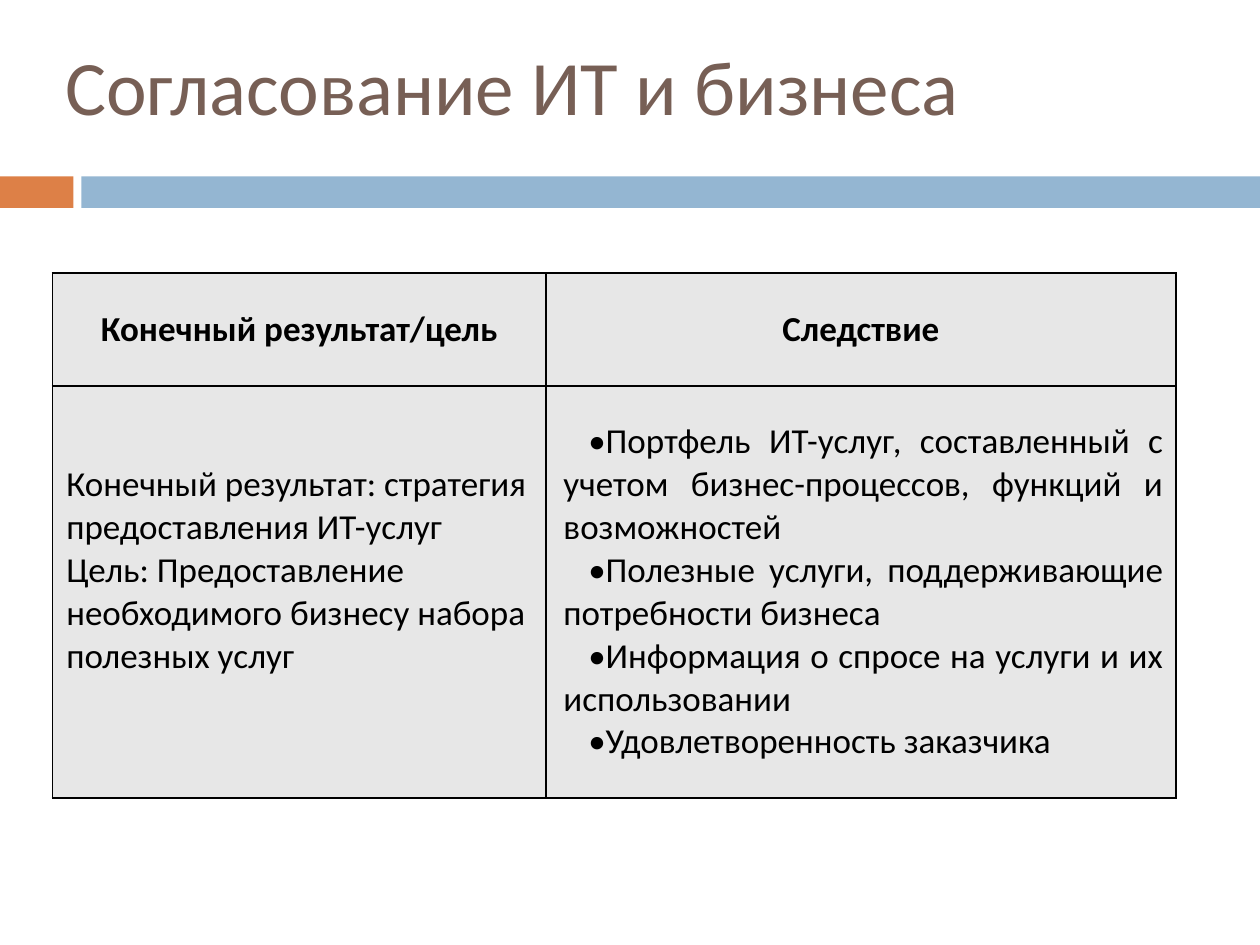
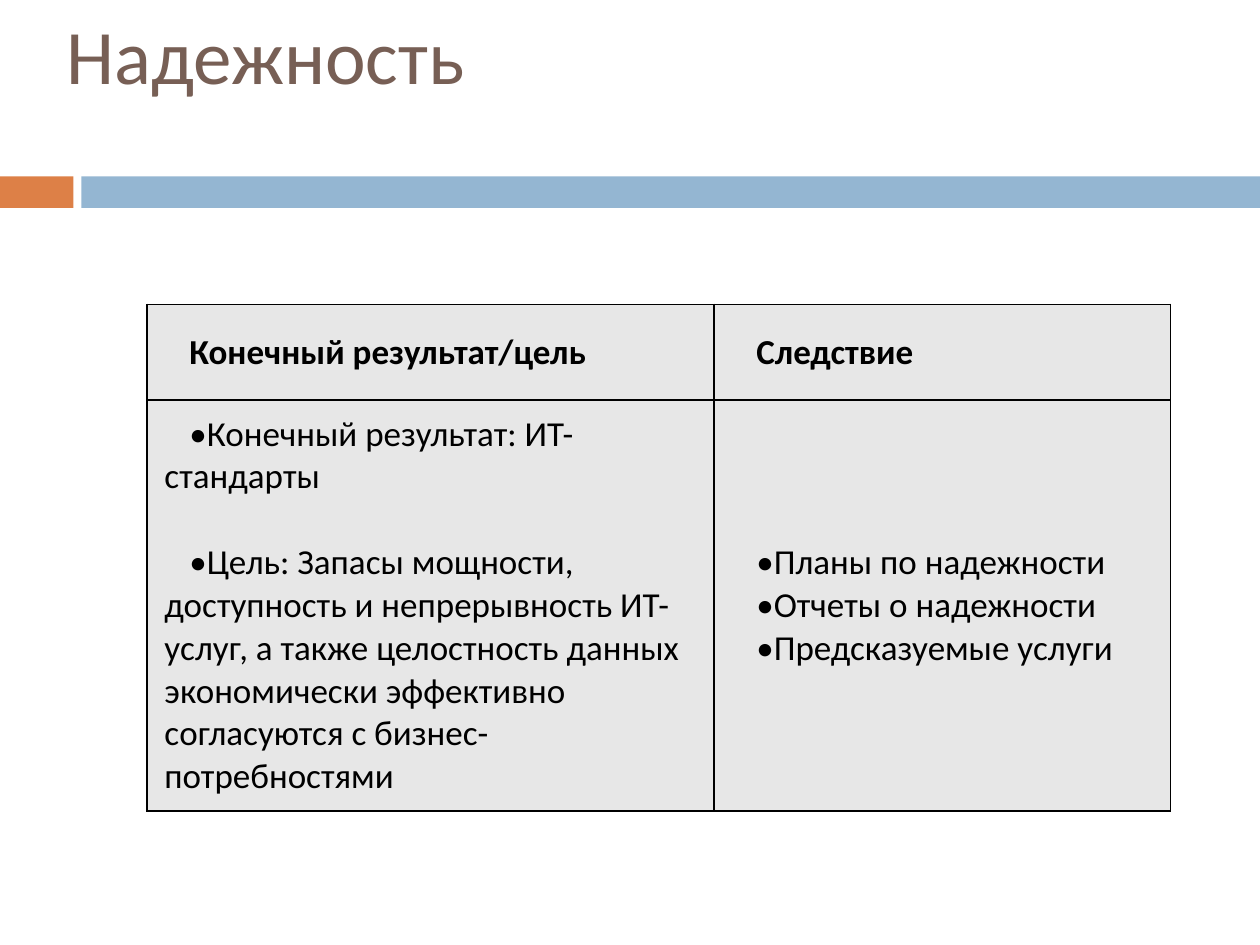
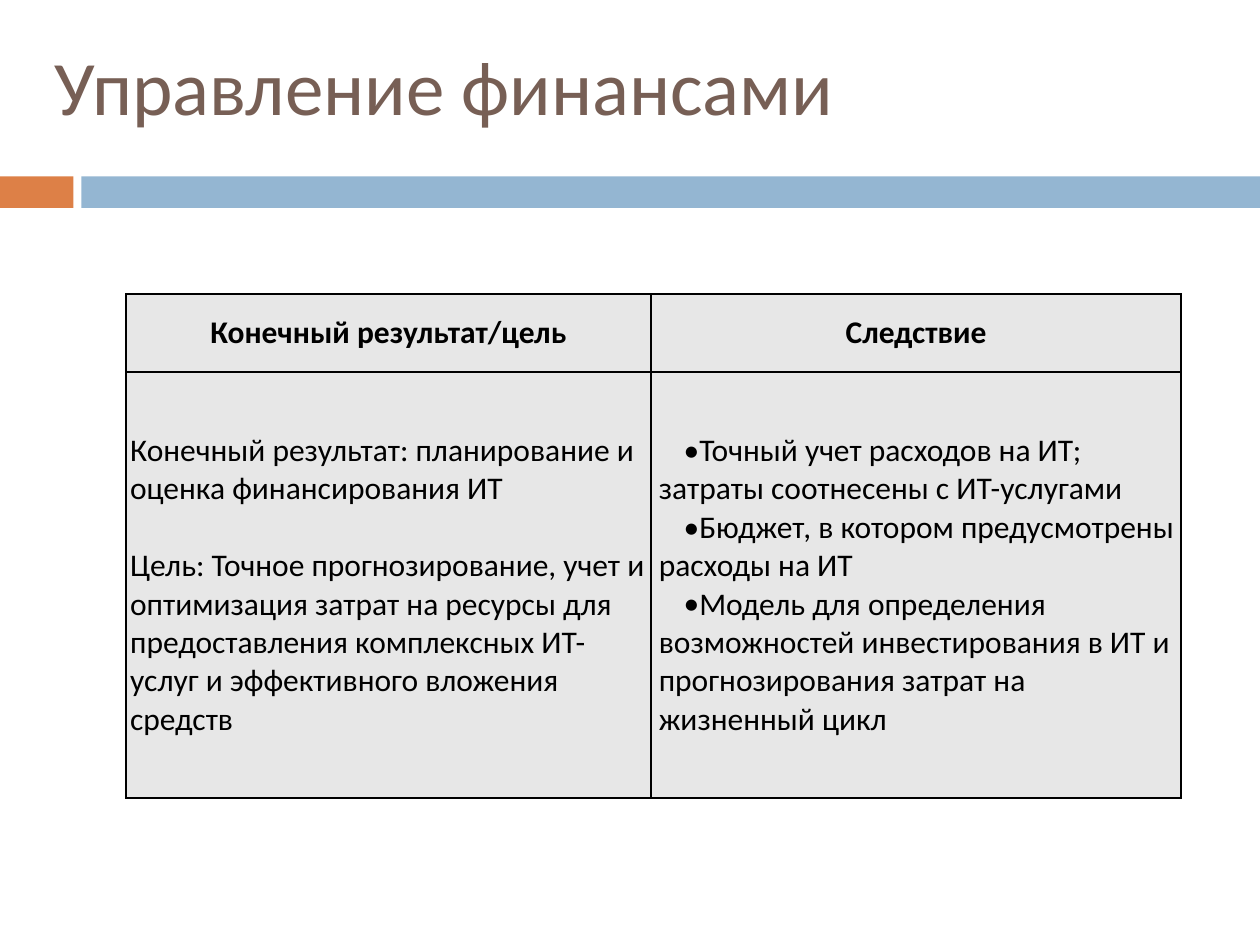
from dataclasses import dataclass
from lxml import etree
from pptx import Presentation
from pptx.dml.color import RGBColor
from pptx.enum.shapes import MSO_SHAPE
from pptx.enum.text import MSO_ANCHOR, PP_ALIGN
from pptx.oxml.ns import qn
from pptx.util import Pt

LEFT, MID, JUST = PP_ALIGN.LEFT, PP_ALIGN.CENTER, PP_ALIGN.JUSTIFY
CENTER = MSO_ANCHOR.MIDDLE
RECT = MSO_SHAPE.RECTANGLE


@dataclass(frozen=True)
class Theme:
    font: str = "Calibri"
    head: str = "775F55"
    warm: str = "DD8047"
    cool: str = "94B6D2"
    cell: str = "E7E7E7"
    ink: str = "000000"
    title: int = 44
    line: float = 1.22


THEME = Theme()
BANDS = [(0, 42, THEME.warm), (46.5, 673.5, THEME.cool)]
HEADS = ["Конечный результат/цель", "Следствие"]
STYLES = {"plain": (0.7, 0), "first": (2.8, 14.2), "bullet": (2.8, 14.2), "head": (0, 0)}

SLIDES = [
    {
        "title": "Согласование ИТ и бизнеса", "at": (30, 18),
        "spot": (30, 156), "cols": (282, 360), "rows": (64.6, 235.4),
        "size": 20, "side": 7.2, "head": ("head", MID),
        "body": [
            {"style": "plain", "align": LEFT, "gap": 0, "foot": 1, "text": [
                "Конечный результат: стратегия предоставления ИТ-услуг",
                "Цель: Предоставление необходимого бизнесу набора полезных услуг"]},
            {"style": "bullet", "align": JUST, "gap": 0, "foot": 0, "text": [
                "Портфель ИТ-услуг, составленный с учетом бизнес-процессов, функций и возможностей",
                "Полезные услуги, поддерживающие потребности бизнеса",
                "Информация о спросе на услуги и их использовании",
                "Удовлетворенность заказчика"]},
        ],
    },
    {
        "title": "Надежность", "at": (31, 0),
        "spot": (84, 174), "cols": (324, 261), "rows": (54.7, 234.7),
        "size": 20, "side": 7.2, "head": ("first", JUST),
        "body": [
            {"style": "bullet", "align": LEFT, "gap": 1, "foot": 0, "text": [
                "Конечный результат: ИТ-стандарты",
                "Цель: Запасы мощности, доступность и непрерывность ИТ-услуг, а также "
                "целостность данных экономически эффективно согласуются с "
                "бизнес-потребностями"]},
            {"style": "bullet", "align": JUST, "gap": 0, "foot": 0, "text": [
                "Планы по надежности",
                "Отчеты о надежности",
                "Предсказуемые услуги"]},
        ],
    },
    {
        "title": "Управление финансами", "at": (23.8, 18),
        "spot": (72, 168), "cols": (300, 303), "rows": (44.6, 243.4),
        "size": 18, "side": 1.7, "head": ("head", MID),
        "body": [
            {"style": "plain", "align": LEFT, "gap": 1, "foot": 0, "text": [
                "Конечный результат: планирование и оценка финансирования ИТ",
                "Цель: Точное прогнозирование, учет и оптимизация затрат на ресурсы для "
                "предоставления комплексных ИТ-услуг и эффективного вложения средств"]},
            {"style": "bullet", "align": LEFT, "gap": 0, "foot": 0, "text": [
                "Точный учет расходов на ИТ; затраты соотнесены с ИТ-услугами",
                "Бюджет, в котором предусмотрены расходы на ИТ",
                "Модель для определения возможностей инвестирования в ИТ и "
                "прогнозирования затрат на жизненный цикл"]},
        ],
    },
]


def paint(fill, tone):
    fill.solid()
    fill.fore_color.rgb = RGBColor.from_string(tone)


def style_font(font, size, tone, bold=False):
    font.name, font.size, font.bold = THEME.font, Pt(size), bold
    font.color.rgb = RGBColor.from_string(tone)


def add_bands(slide):
    for left, width, tone in BANDS:
        band = slide.shapes.add_shape(RECT, Pt(left), Pt(100.8), Pt(width), Pt(18))
        band.shadow.inherit = False
        paint(band.fill, tone)
        band.line.fill.background()


def add_title(slide, text, at):
    title = slide.shapes.title
    title.left, title.top = map(Pt, at)
    title.width, title.height = Pt(648), Pt(61.2)
    frame = title.text_frame
    frame.text = text
    frame.vertical_anchor = CENTER
    para = frame.paragraphs[0]
    para.alignment = LEFT
    style_font(para.font, THEME.title, THEME.head)


def add_edges(cell):
    props = cell._tc.get_or_add_tcPr()
    for spot, side in enumerate(("lnL", "lnR", "lnT", "lnB")):
        edge = etree.Element(qn("a:" + side), w=str(Pt(1)))
        fill = etree.SubElement(edge, qn("a:solidFill"))
        etree.SubElement(fill, qn("a:srgbClr"), val=THEME.ink)
        props.insert(spot, edge)


def fill_cell(cell, part, size, side, bold):
    paint(cell.fill, THEME.cell)
    add_edges(cell)
    cell.vertical_anchor = CENTER
    step = size * THEME.line
    cell.margin_left = cell.margin_right = Pt(side)
    cell.margin_top = Pt(3.6)
    cell.margin_bottom = Pt(3.6 + part["foot"] * step)
    cell.text_frame.text = "\n".join(part["text"])
    paras = cell.text_frame.paragraphs
    margin, indent = STYLES[part["style"]]
    for para in paras:
        para.alignment = part["align"]
        props = para._p.get_or_add_pPr()
        props.set("marL", str(Pt(margin)))
        props.set("indent", str(Pt(indent)))
        if part["style"] == "bullet":
            etree.SubElement(props, qn("a:buFont"), typeface=THEME.font)
            etree.SubElement(props, qn("a:buChar"), char="•")
        style_font(para.font, size, THEME.ink, bold)
    if part["gap"]:
        for para in paras[:-1]:
            para.space_after = Pt(part["gap"] * step)


def add_grid(slide, data):
    cols, rows = data["cols"], data["rows"]
    left, top = data["spot"]
    grid = slide.shapes.add_table(
        len(rows), len(cols), Pt(left), Pt(top), Pt(sum(cols)), Pt(sum(rows))).table
    grid.first_row = grid.horz_banding = False
    for col, width in zip(grid.columns, cols):
        col.width = Pt(width)
    for row, height in zip(grid.rows, rows):
        row.height = Pt(height)
    style, align = data["head"]
    heads = [{"style": style, "align": align, "gap": 0, "foot": 0, "text": [head]}
             for head in HEADS]
    for y, parts in enumerate((heads, data["body"])):
        for x, part in enumerate(parts):
            fill_cell(grid.cell(y, x), part, data["size"], data["side"], y == 0)


def main():
    deck = Presentation()
    deck.slide_width, deck.slide_height = Pt(720), Pt(540)
    for data in SLIDES:
        slide = deck.slides.add_slide(deck.slide_layouts[5])
        add_bands(slide)
        add_title(slide, data["title"], data["at"])
        add_grid(slide, data)
    deck.save("out.pptx")


if __name__ == "__main__":
    main()
